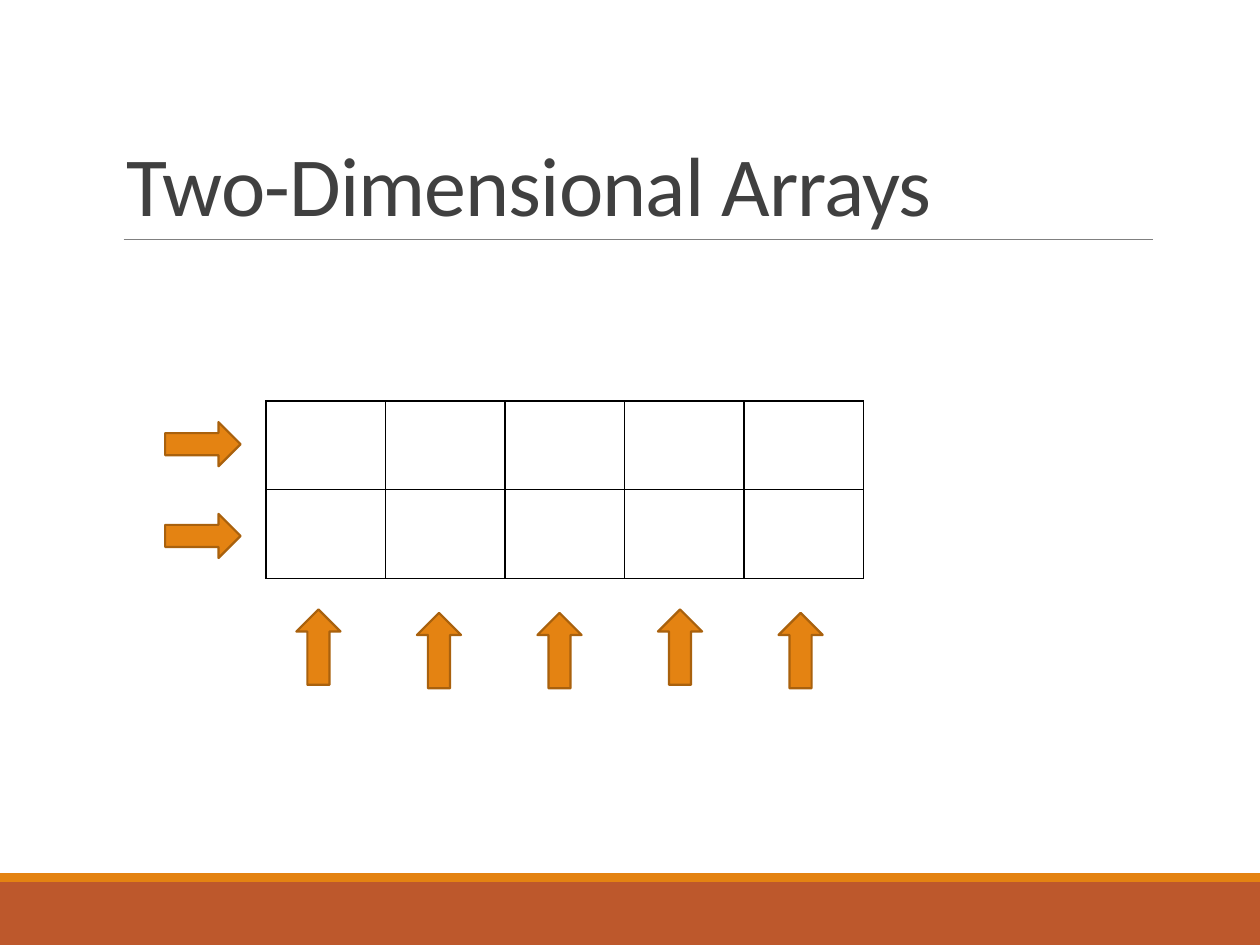
from dataclasses import dataclass

from lxml.etree import SubElement
from pptx import Presentation
from pptx.dml.color import RGBColor
from pptx.enum.shapes import MSO_CONNECTOR, MSO_SHAPE
from pptx.enum.text import MSO_ANCHOR, MSO_AUTO_SIZE, PP_ALIGN
from pptx.oxml import parse_xml
from pptx.oxml.ns import nsdecls, qn
from pptx.slide import Slide
from pptx.util import Cm, Pt

ORANGE, RUST, BROWN = "E48312", "BD582C", "A9610D"
GREY, DARK_GREY, BLACK = "808080", "404040", "000000"
COLUMNS = 5
COLUMN_WIDTH, ROW_HEIGHT = 2.41, 1.79
GRID_LEFT, GRID_TOP = 5.36, 8.08
ARROW_LENGTH, ARROW_THICKNESS = 1.52, 0.89


@dataclass
class Band:
    top: float
    height: float
    color: str


@dataclass
class Arrow:
    left: float
    top: float
    rotation: int = 0


def rgb(color: str) -> RGBColor:
    return RGBColor.from_string(color)


def add_band(slide: Slide, band: Band) -> None:
    stripe = slide.shapes.add_shape(
        MSO_SHAPE.RECTANGLE, 0, Cm(band.top), Cm(25.4), Cm(band.height))
    stripe.shadow.inherit = False
    stripe.fill.solid()
    stripe.fill.fore_color.rgb = rgb(band.color)
    stripe.line.fill.background()


def add_rule(slide: Slide, left: float, right: float, y: float) -> None:
    rule = slide.shapes.add_connector(
        MSO_CONNECTOR.STRAIGHT, Cm(left), Cm(y), Cm(right), Cm(y))
    rule.line.color.rgb = rgb(GREY)
    rule.line.width = Pt(0.5)
    SubElement(rule._element.spPr, qn("a:effectLst"))


def add_title(slide: Slide, text: str) -> None:
    title = slide.shapes.title
    title.left, title.top, title.width, title.height = (
        Cm(2.29), Cm(0.79), Cm(20.96), Cm(4.04))
    frame = title.text_frame
    frame.text = text
    frame.auto_size = MSO_AUTO_SIZE.NONE
    frame.vertical_anchor = MSO_ANCHOR.BOTTOM
    heading = frame.paragraphs[0]
    heading.alignment = PP_ALIGN.LEFT
    heading.line_spacing = 0.85
    heading.font.name = "Calibri"
    heading.font.size = Pt(48)
    heading.font.color.rgb = rgb(DARK_GREY)
    heading.runs[0].font._element.set("spc", "-50")


def add_grid(slide: Slide, rows: int) -> None:
    grid = slide.shapes.add_table(
        rows, COLUMNS, Cm(GRID_LEFT), Cm(GRID_TOP),
        Cm(COLUMNS * COLUMN_WIDTH), Cm(rows * ROW_HEIGHT)).table
    grid.first_row = grid.horz_banding = False
    for column in grid.columns:
        column.width = Cm(COLUMN_WIDTH)
    for row in grid.rows:
        row.height = Cm(ROW_HEIGHT)
    for cell in grid.iter_cells():
        # Borders come before the fill in the cell properties
        properties = cell._tc.get_or_add_tcPr()
        for side in ("lnL", "lnR", "lnT", "lnB"):
            properties.append(parse_xml(
                f'<a:{side} {nsdecls("a")} w="{Pt(1)}"><a:solidFill>'
                f'<a:srgbClr val="{BLACK}"/></a:solidFill></a:{side}>'))
        cell.fill.background()


def add_arrow(slide: Slide, arrow: Arrow) -> None:
    pointer = slide.shapes.add_shape(
        MSO_SHAPE.RIGHT_ARROW, Cm(arrow.left), Cm(arrow.top),
        Cm(ARROW_LENGTH), Cm(ARROW_THICKNESS))
    pointer.rotation = arrow.rotation
    pointer.shadow.inherit = False
    pointer.fill.solid()
    pointer.fill.fore_color.rgb = rgb(ORANGE)
    pointer.line.color.rgb = rgb(BROWN)
    pointer.line.width = Pt(1.25)


def main() -> None:
    presentation = Presentation()
    presentation.slide_width, presentation.slide_height = Cm(25.4), Cm(19.05)
    slide = presentation.slides.add_slide(presentation.slide_layouts[5])

    # Footer bands and title
    for band in (Band(17.78, 1.27, RUST), Band(17.6, 0.18, ORANGE)):
        add_band(slide, band)
    add_rule(slide, 2.49, 23.24, 4.83)
    add_title(slide, "Two-Dimensional Arrays")

    # A single row, then the full array over it
    for rows in (1, 2):
        add_grid(slide, rows)

    # Arrows to each row and each column
    row_arrows = [Arrow(3.33, top) for top in (8.51, 10.36)]
    column_tops = (12.6, 12.67, 12.67, 12.6, 12.67)
    column_arrows = [Arrow(5.66 + 2.43 * column, top, 270)
                     for column, top in enumerate(column_tops)]
    for arrow in row_arrows + column_arrows:
        add_arrow(slide, arrow)

    presentation.save("out.pptx")


if __name__ == "__main__":
    main()
